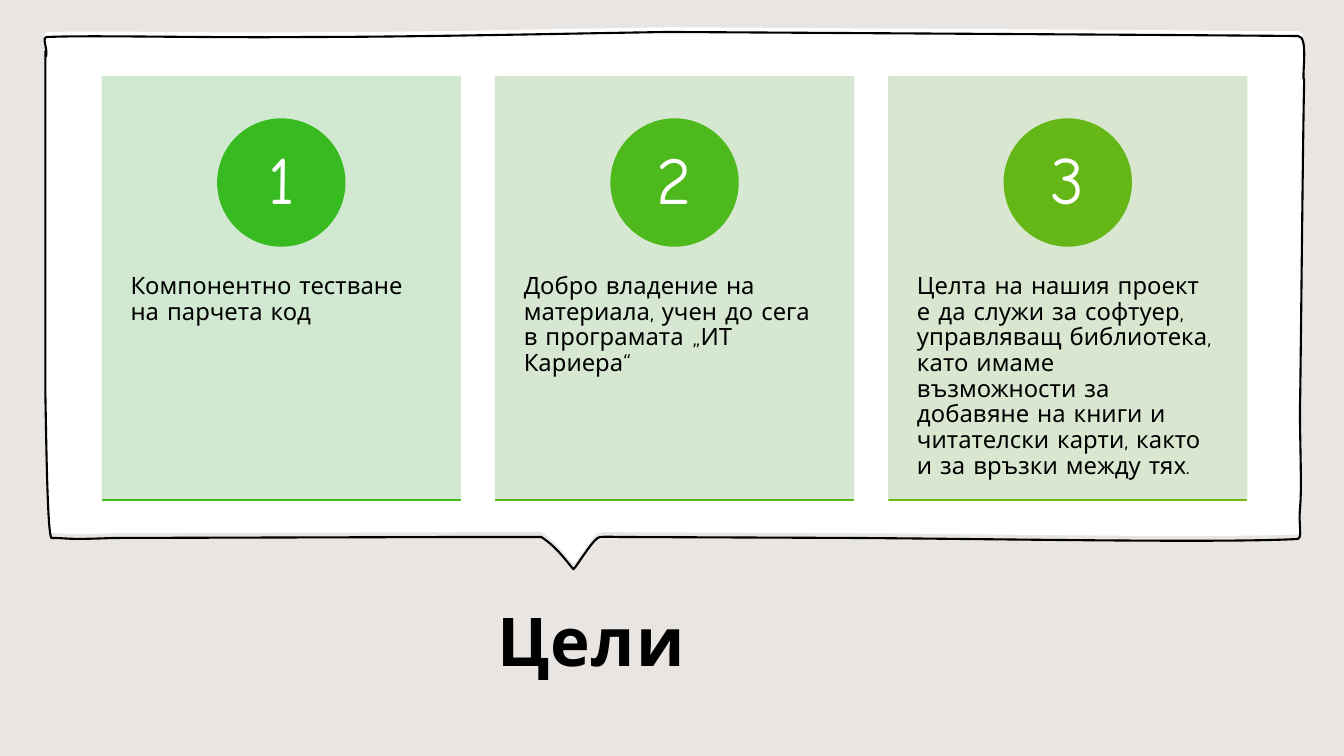
from lxml.etree import SubElement
from pptx import Presentation
from pptx.dml.color import RGBColor
from pptx.enum.shapes import MSO_SHAPE as Preset
from pptx.enum.text import MSO_ANCHOR as Anchor, MSO_AUTO_SIZE as AutoSize, PP_ALIGN as Align
from pptx.oxml.ns import qn
from pptx.util import Cm, Pt

COLORS = {
    "background": "E8E5E2", "bubble": "FFFFFF", "ink": "000000", "number": "FFFFFF",
    "panel 1": "CEE7CD", "circle 1": "38BA21", "rule 1": "43B91E",
    "panel 2": "D2E6CC", "circle 2": "4DB91C", "rule 2": "59B819",
    "panel 3": "D5E5CC", "circle 3": "64B716", "rule 3": "70B614",
}
GOALS = [
    "Компонентно тестване на парчета код",
    "Добро владение на материала, учен до сега в програмата „ИТ Кариера“",
    "Целта на нашия проект е да служи за софтуер, управляващ библиотека, като имаме "
    "възможности за добавяне на книги и читателски карти, както и за връзки между тях.",
]
BUBBLE_UNIT = Cm(2.54) / 100
BUBBLE_START = (1160, 30)
BUBBLE_SEGMENTS = [
    [(1288, 31)],
    [(1299, 31), (1291, 74), (1294, 75)],
    [(1293, 106), (1291, 321), (1290, 392)],
    [(1289, 415), (1292, 475), (1290, 498)],
    [(1288, 518), (1293, 529), (1287, 530)],
    [(1213, 534), (997, 530), (850, 529)],
    [(615, 528)],
    [(610, 528), (595, 527), (593, 529)],
    [(586, 534), (573, 556), (569, 560)],
    [(565, 556), (553, 538), (537, 528)],
    [(529, 528), (493, 528), (460, 528)],
    [(112, 529)],
    [(63, 531), (69, 529), (51, 529)],
    [(47, 523), (46, 434), (45, 383)],
    [(45, 306), (45, 134), (45, 78)],
    [(45, 22), (45, 58), (46, 50)],
    [(47, 42), (41, 32), (47, 32)],
    [(91, 30), (203, 33), (305, 32)],
    [(408, 32), (543, 29), (663, 27)],
    [(1160, 30)],
]
PANEL_LEFT, PANEL_TOP, PANEL_WIDTH, PANEL_HEIGHT = 2.58, 1.93, 9.02, 10.67
PANEL_PITCH = 9.91
CIRCLE_SIZE, NUMBER_SIZE = 3.2, 2.26


def write(shape, text, *, size, color="ink", align=Align.LEFT, anchor=Anchor.TOP,
          bold=False, line_spacing=0.9, tracking=0, margins=(0, 0), font="Comic Neue"):
    """Put formatted text into a shape."""
    frame = shape.text_frame
    frame.word_wrap = True
    frame.auto_size = AutoSize.NONE
    frame.vertical_anchor = anchor
    frame.margin_left = frame.margin_right = Cm(margins[0])
    frame.margin_top = frame.margin_bottom = Cm(margins[1])
    paragraph = frame.paragraphs[0]
    paragraph.alignment = align
    paragraph.line_spacing = line_spacing
    run = paragraph.add_run()
    run.text = text
    run.font.name = font
    run.font.size = Pt(size)
    run.font.bold = bold
    run.font.color.rgb = RGBColor.from_string(COLORS[color])
    if tracking:
        run.font._element.set("spc", str(tracking * 100))


def bend(outline, segments):
    """Turn each three-point stretch of a freeform into one cubic curve."""
    lines = iter(list(outline.element.iter(qn("a:lnTo"))))
    for segment in segments:
        stretch = [next(lines) for _ in segment]
        if len(stretch) == 3:
            curve = SubElement(stretch[0].getparent(), qn("a:cubicBezTo"))
            stretch[0].addprevious(curve)
            for line in stretch:
                curve.append(line[0])
                line.getparent().remove(line)


class GoalsSlide:
    """Hold the slide and draw its elements in one style."""

    def __init__(self, presentation):
        """Add a title-only slide with a plain background."""
        self.slide = presentation.slides.add_slide(presentation.slide_layouts[5])
        self.shapes = self.slide.shapes
        self.paint(self.slide.background.fill, "background")

    def paint(self, fill, color):
        """Apply a solid palette colour to a fill."""
        fill.solid()
        fill.fore_color.rgb = RGBColor.from_string(COLORS[color])

    def title(self, text, left, top, width, height):
        """Place and fill the title placeholder."""
        heading = self.shapes.title
        heading.left, heading.top = Cm(left), Cm(top)
        heading.width, heading.height = Cm(width), Cm(height)
        write(heading, text, size=48, bold=True, align=Align.CENTER, anchor=Anchor.MIDDLE,
              line_spacing=1, tracking=1, margins=(0.25, 0.13))

    def bubble(self, fill=None, outline=None, drop=0):
        """Draw the hand-drawn speech bubble, moved down by drop."""
        builder = self.shapes.build_freeform(*BUBBLE_START, scale=BUBBLE_UNIT)
        points = [point for segment in BUBBLE_SEGMENTS for point in segment]
        builder.add_line_segments(points, close=True)
        bubble = builder.convert_to_shape(0, Cm(drop))
        bend(bubble, BUBBLE_SEGMENTS)
        bubble.shadow.inherit = False
        if fill:
            self.paint(bubble.fill, fill)
        else:
            bubble.fill.background()
        if outline:
            self.paint(bubble.line.fill, outline)
            bubble.line.width = Pt(1.5)
        else:
            bubble.line.fill.background()

    def block(self, preset, left, top, width, height, color, opacity=100):
        """Draw a preset shape with matching fill and line."""
        block = self.shapes.add_shape(preset, Cm(left), Cm(top), Cm(width), Cm(height))
        block.shadow.inherit = False
        self.paint(block.fill, color)
        self.paint(block.line.fill, color)
        block.line.width = Pt(1)
        if opacity < 100:
            for tint in block.element.spPr.iter(qn("a:srgbClr")):
                SubElement(tint, qn("a:alpha")).set("val", str(opacity * 1000))

    def label(self, text, left, top, width, height, **style):
        """Add a text box."""
        write(self.shapes.add_textbox(Cm(left), Cm(top), Cm(width), Cm(height)), text, **style)

    def goal(self, number, text):
        """Draw one numbered goal panel."""
        left = PANEL_LEFT + (number - 1) * PANEL_PITCH
        center = left + PANEL_WIDTH / 2
        self.block(Preset.RECTANGLE, left, PANEL_TOP, PANEL_WIDTH, PANEL_HEIGHT,
                   f"panel {number}", opacity=90)
        self.label(text, left, 5.99, PANEL_WIDTH, 6.4, size=17, margins=(0.71, 0.91))
        self.block(Preset.OVAL, center - CIRCLE_SIZE / 2, 3, CIRCLE_SIZE, CIRCLE_SIZE,
                   f"circle {number}")
        self.label(str(number), center - NUMBER_SIZE / 2, 3 + (CIRCLE_SIZE - NUMBER_SIZE) / 2,
                   NUMBER_SIZE, NUMBER_SIZE, size=48, color="number", align=Align.CENTER,
                   anchor=Anchor.MIDDLE, margins=(0.25, 0.03))
        self.block(Preset.RECTANGLE, left, PANEL_TOP + PANEL_HEIGHT, PANEL_WIDTH, 0,
                   f"rule {number}")


def main():
    """Build and save the presentation."""
    presentation = Presentation()
    presentation.slide_width, presentation.slide_height = Cm(33.87), Cm(19.05)
    slide = GoalsSlide(presentation)
    slide.title("Цели", 1.32, 14.68, 27.15, 2.87)
    slide.bubble(fill="bubble")
    slide.bubble(outline="ink", drop=0.12)
    for number, text in enumerate(GOALS, start=1):
        slide.goal(number, text)
    presentation.save("out.pptx")


if __name__ == "__main__":
    main()
